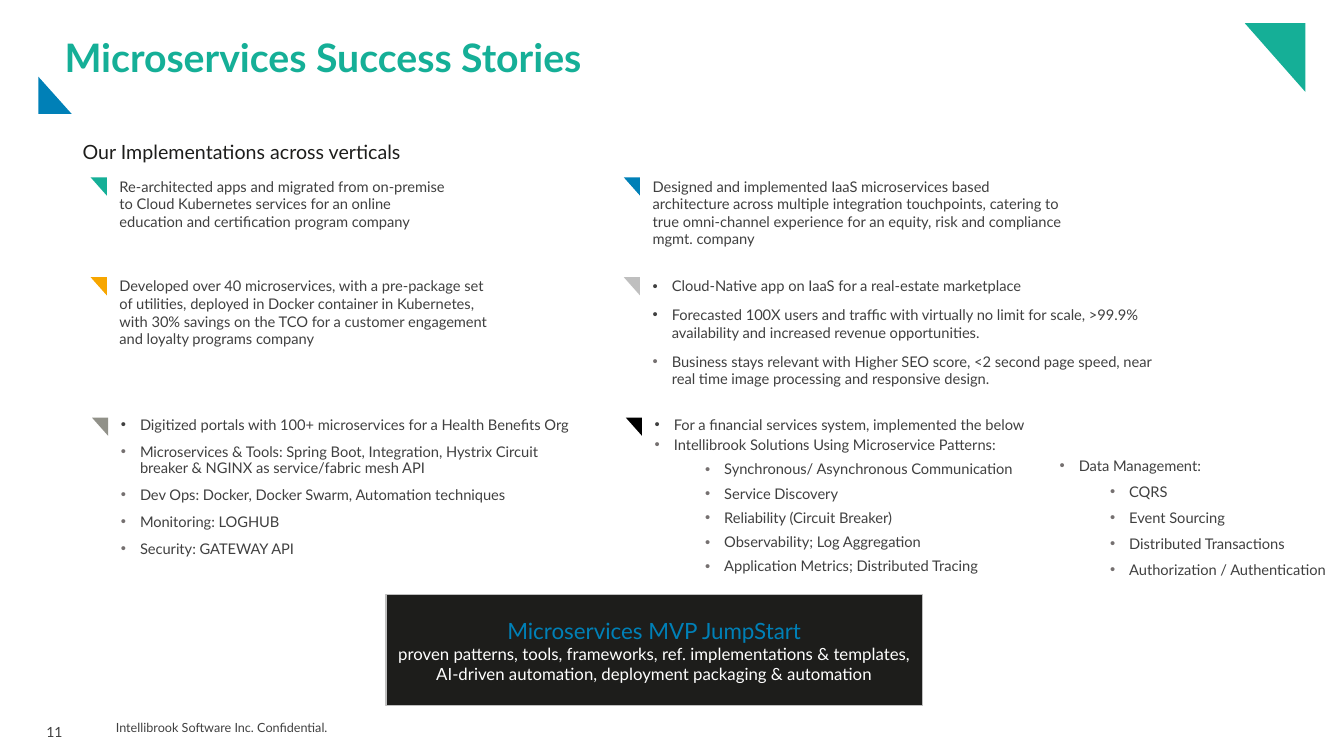
from lxml import etree
from pptx import Presentation
from pptx.dml.color import RGBColor
from pptx.enum.shapes import MSO_SHAPE
from pptx.enum.text import MSO_ANCHOR, MSO_AUTO_SIZE, PP_ALIGN
from pptx.oxml.ns import qn
from pptx.util import Inches, Pt

RECTANGLE = MSO_SHAPE.RECTANGLE
TOP, MIDDLE = MSO_ANCHOR.TOP, MSO_ANCHOR.MIDDLE
FIXED = MSO_AUTO_SIZE.NONE
LEFT, CENTER = PP_ALIGN.LEFT, PP_ALIGN.CENTER

TEAL = RGBColor(0x15, 0xAF, 0x97)
BLUE = RGBColor(0x00, 0x80, 0xB7)
AMBER = RGBColor(0xF7, 0xA6, 0x00)
SILVER = RGBColor(0xBF, 0xBF, 0xBF)
STONE = RGBColor(0x91, 0x91, 0x89)
BLACK = RGBColor(0x00, 0x00, 0x00)
INK = RGBColor(0x1D, 0x1D, 0x1B)
TEXT = RGBColor(0x40, 0x40, 0x40)
BULLET = RGBColor(0x75, 0x70, 0x70)
WHITE = RGBColor(0xFF, 0xFF, 0xFF)

TOP_RIGHT = [(0, 0), (1, 0), (1, 1)]
BOTTOM_LEFT = [(1, 1), (0, 1), (0, 0)]
LEFT_COLUMN, RIGHT_COLUMN = 6.75, 46.42
ROWS = [23.47, 36.67, 55.25]
TEXT_OFFSET = 2.14


class StorySlide:
    font = "Lato"

    def __init__(self, deck, layout):
        self.width, self.height = deck.slide_width, deck.slide_height
        self.slide = deck.slides.add_slide(deck.slide_layouts[layout])
        self.bodies = list(self.slide.placeholders)[1:]

    def area(self, x, y, w, h):
        return (round(x * self.width / 100), round(y * self.height / 100),
                round(w * self.width / 100), round(h * self.height / 100))

    def triangle(self, x, y, w, h, corners, color):
        left, top, width, height = self.area(x, y, w, h)
        points = [(left + a * width, top + b * height) for a, b in corners]
        builder = self.slide.shapes.build_freeform(*points[0])
        builder.add_line_segments(points[1:])
        outline = builder.convert_to_shape()
        outline.fill.solid()
        outline.fill.fore_color.rgb = color
        outline.line.fill.background()
        outline.shadow.inherit = False

    def frame(self, holder, anchor=TOP, wrap=True):
        frame = holder.text_frame
        frame.margin_left = frame.margin_right = 0
        frame.margin_top = frame.margin_bottom = 0
        frame.auto_size = FIXED
        frame.vertical_anchor = anchor
        frame.word_wrap = wrap
        return frame

    def place(self, holder, box):
        holder.left, holder.top, holder.width, holder.height = self.area(*box)

    def set_line(self, paragraph, words, size=10.5, color=TEXT, bold=False,
                 align=LEFT, spacing=1.0, before=0, after=0, bullet=None, level=0):
        paragraph.text = words
        paragraph.level = level
        paragraph.alignment = align
        paragraph.line_spacing = spacing
        paragraph.space_before, paragraph.space_after = Pt(before), Pt(after)
        props = paragraph._p.get_or_add_pPr()
        hanging = Inches(0.19) if bullet else 0
        props.set("marL", str(Inches(0.69) if level == 3 else hanging))
        props.set("indent", str(-hanging))
        if bullet:
            tint = etree.SubElement(props, qn("a:buClr"))
            etree.SubElement(tint, qn("a:srgbClr"), val=str(bullet))
            etree.SubElement(props, qn("a:buFont"), typeface="Arial")
            etree.SubElement(props, qn("a:buChar"), char="•")
        else:
            etree.SubElement(props, qn("a:buNone"))
        font = paragraph.font
        font.name, font.size, font.bold = self.font, Pt(size), bold
        font.color.rgb = color

    def title(self, box, words):
        heading = self.slide.shapes.title
        self.place(heading, box)
        frame = self.frame(heading, MIDDLE)
        self.set_line(frame.paragraphs[0], words, 28, TEAL, True, spacing=0.9)

    def label(self, box, words, anchor=TOP, wrap=True, **style):
        holder = self.slide.shapes.add_textbox(*self.area(*box))
        frame = self.frame(holder, anchor, wrap)
        self.set_line(frame.paragraphs[0], words, **style)

    def body(self, box, items, dark=0, gap=4, spacing=1.0, lead_after=None):
        if self.bodies:
            holder = self.bodies.pop(0)
            self.place(holder, box)
        else:
            holder = self.slide.shapes.add_textbox(*self.area(*box))
        frame = self.frame(holder)
        for index, (level, words) in enumerate(items):
            paragraph = frame.add_paragraph() if index else frame.paragraphs[0]
            after = gap if index or lead_after is None else lead_after
            self.set_line(paragraph, words, spacing=spacing, level=level,
                          before=gap if index else 0, after=after,
                          bullet=TEXT if index < dark else BULLET)

    def marker(self, x, y, color):
        self.triangle(x, y, 1.2, 2.4, TOP_RIGHT, color)

    def banner(self, box, heading, detail):
        panel = self.slide.shapes.add_shape(RECTANGLE, *self.area(*box))
        panel.shadow.inherit = False
        panel.fill.solid()
        panel.fill.fore_color.rgb = INK
        panel.line.color.rgb = SILVER
        panel.line.width = Pt(1)
        frame = self.frame(panel, MIDDLE)
        self.set_line(frame.paragraphs[0], heading, 16, BLUE, align=CENTER)
        self.set_line(frame.add_paragraph(), detail, 12, WHITE, align=CENTER)


def main():
    deck = Presentation()
    deck.slide_width, deck.slide_height = Inches(13.33), Inches(7.5)
    page = StorySlide(deck, 4)

    page.label((8.62, 94, 19, 4.53), "Intellibrook Software Inc. Confidential.",
               MIDDLE, size=9)
    page.label((3.45, 94.8, 1.4, 3.2), "11", wrap=False, size=10, spacing=Pt(17))
    page.triangle(92.62, 3.07, 4.5, 9.07, TOP_RIGHT, TEAL)
    page.triangle(2.85, 10.13, 2.48, 4.93, BOTTOM_LEFT, BLUE)
    page.title((4.8, 5.07, 90.08, 5.6), "Microservices Success Stories")
    page.label((6.15, 18.8, 24.68, 2.8), "Our Implementations across verticals",
               wrap=False, size=14, color=INK, spacing=0.9)

    summaries = [
        (LEFT_COLUMN, ROWS[0], 24.6, 7.07, TEAL,
         "Re-architected apps and migrated from on-premise to Cloud Kubernetes "
         "services for an online education and certification program company"),
        (RIGHT_COLUMN, ROWS[0], 30.9, 9.47, BLUE,
         "Designed and implemented IaaS microservices based architecture across "
         "multiple integration touchpoints, catering to true omni-channel "
         "experience for an equity, risk and compliance mgmt. company"),
        (LEFT_COLUMN, ROWS[1], 27.68, 9.47, AMBER,
         "Developed over 40 microservices, with a pre-package set of utilities, "
         "deployed in Docker container in Kubernetes, with 30% savings on the "
         "TCO for a customer engagement and loyalty programs company"),
    ]
    for x, y, width, height, color, words in summaries:
        page.marker(x, y, color)
        page.label((x + TEXT_OFFSET, y, width, height), words)

    marketplace = [
        (0, "Cloud-Native app on IaaS for a real-estate marketplace"),
        (0, "Forecasted 100X users and traffic with virtually no limit for scale, "
            ">99.9% availability and increased revenue opportunities."),
        (0, "Business stays relevant with Higher SEO score, <2 second page speed, "
            "near real time image processing and responsive design."),
    ]
    health_portals = [
        (0, "Digitized portals with 100+ microservices for a Health Benefits Org"),
        (0, "Microservices & Tools: Spring Boot, Integration, Hystrix Circuit "
            "breaker & NGINX as service/fabric mesh API"),
        (0, "Dev Ops: Docker, Docker Swarm, Automation techniques"),
        (0, "Monitoring: LOGHUB"),
        (0, "Security: GATEWAY API"),
    ]
    financial_system = [
        (0, "For a financial services system, implemented the below"),
        (1, "Intellibrook Solutions Using Microservice Patterns:"),
        (3, "Synchronous/ Asynchronous Communication"),
        (3, "Service Discovery"),
        (3, "Reliability (Circuit Breaker)"),
        (3, "Observability; Log Aggregation"),
        (3, "Application Metrics; Distributed Tracing"),
    ]
    data_management = [
        (1, "Data Management:"),
        (3, "CQRS"),
        (3, "Event Sourcing"),
        (3, "Distributed Transactions"),
        (3, "Authorization / Authentication"),
    ]
    lists = [
        (RIGHT_COLUMN, ROWS[1], 38.18, 18.4, SILVER, marketplace, {"dark": 2}),
        (LEFT_COLUMN + 0.1, ROWS[2], 33.68, 23.47, STONE, health_portals,
         {"dark": 1, "spacing": 0.9}),
        (RIGHT_COLUMN + 0.15, ROWS[2], 51, 26.27, BLACK, financial_system,
         {"dark": 1, "gap": 3, "spacing": 0.9, "lead_after": 0}),
    ]
    for x, y, width, height, color, items, style in lists:
        page.marker(x, y, color)
        page.body((x + TEXT_OFFSET, y, width, height), items, **style)
    page.body((78.84, 60.4, 20.6, 19.73), data_management, gap=3)

    page.banner((28.73, 78.67, 39.9, 14.67), "Microservices MVP JumpStart",
                "proven patterns, tools, frameworks, ref. implementations & "
                "templates, AI-driven automation, deployment packaging & automation")
    deck.save("out.pptx")


if __name__ == "__main__":
    main()
